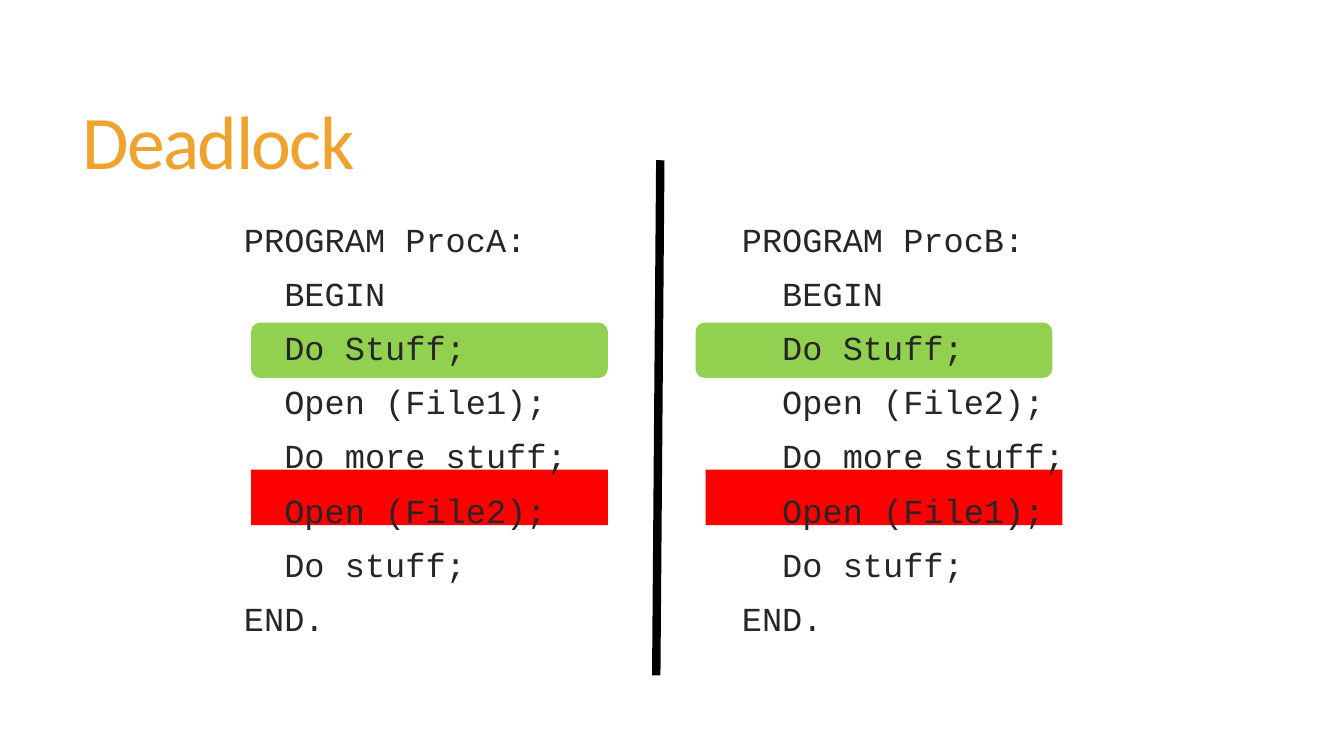
from pptx import Presentation
from pptx.dml.color import RGBColor as Color
from pptx.enum.shapes import MSO_CONNECTOR as Connector, MSO_SHAPE as Shape
from pptx.enum.text import MSO_ANCHOR as Anchor, MSO_AUTO_SIZE as AutoSize, PP_ALIGN as Align
from pptx.oxml.ns import qn
from pptx.util import Inches, Pt
from lxml.etree import SubElement

WIDTH, HEIGHT = Inches(13.33), Inches(7.5)

THEME = {
    "title": {"name": "Calibri", "size": Pt(54), "color": Color.from_string("F0A22E")},
    "code": {"name": "Courier New", "size": Pt(24), "color": Color.from_string("262626")},
    "running": Color.from_string("92D050"),
    "blocked": Color.from_string("FF0000"),
    "divider": Color.from_string("000000"),
}
TITLE_FORMAT = {"alignment": Align.LEFT, "line_spacing": 0.85}
CODE_FORMAT = {"alignment": Align.LEFT, "line_spacing": 0.85, "space_after": Pt(1.2)}
CODE_GAP = Pt(13)
CODE_INDENT = Inches(0.12)

CODE_TOP, CODE_WIDTH, CODE_HEIGHT = 29.07, 29.18, 54.93
BAR_WIDTH, BAR_HEIGHT = 26.55, 7.33
RUNNING_TOP, BLOCKED_TOP = 42.67, 62.13

PROCESSES = [
    {"name": "ProcA", "files": ("File1", "File2"), "code": 16.5, "running": 18.68, "blocked": 18.68},
    {"name": "ProcB", "files": ("File2", "File1"), "code": 53.55, "running": 51.75, "blocked": 52.5},
]


def across(percent):
    return round(WIDTH * percent / 100)


def down(percent):
    return round(HEIGHT * percent / 100)


def area(left, top, width, height):
    return across(left), down(top), across(width), down(height)


def apply(target, values):
    for name, value in values.items():
        setattr(target, name, value)


def style_font(font, style):
    apply(font, {"name": style["name"], "size": style["size"]})
    font.color.rgb = style["color"]


def place(box, left, top, width, height):
    apply(box, dict(zip(("left", "top", "width", "height"), area(left, top, width, height))))
    apply(box.text_frame, {"word_wrap": True, "auto_size": AutoSize.NONE})


def add_title(page, text):
    box = page.shapes.title
    place(box, 5.4, 7.33, 88.38, 24.13)
    box.text_frame.vertical_anchor = Anchor.MIDDLE
    para = box.text_frame.paragraphs[0]
    apply(para, TITLE_FORMAT)
    span = para.add_run()
    span.text = text
    style_font(span.font, THEME["title"])
    span.font._element.set("spc", "-120")


def program_lines(name, first, second):
    steps = ["BEGIN", "Do Stuff;", f"Open ({first});", "Do more stuff;",
             f"Open ({second});", "Do stuff;"]
    return [f"PROGRAM {name}:", *("  " + step for step in steps), "END."]


def add_program(box, left, lines):
    place(box, left, CODE_TOP, CODE_WIDTH, CODE_HEIGHT)
    frame = box.text_frame
    frame.vertical_anchor = Anchor.TOP
    for index, line in enumerate(lines):
        para = frame.add_paragraph() if index else frame.paragraphs[0]
        apply(para, CODE_FORMAT)
        para.space_before = CODE_GAP if index else Pt(0)
        properties = para._p.get_or_add_pPr()
        properties.set("marL", str(CODE_INDENT))
        properties.set("indent", "0")
        SubElement(properties, qn("a:buNone"))
        span = para.add_run()
        span.text = line
        style_font(span.font, THEME["code"])


def add_bar(page, kind, left, top, color):
    bar = page.shapes.add_shape(kind, *area(left, top, BAR_WIDTH, BAR_HEIGHT))
    bar.shadow.inherit = False
    bar.fill.solid()
    bar.fill.fore_color.rgb = color
    bar.line.fill.background()
    page.shapes._spTree.insert(2, bar._element)


def add_divider(page):
    divider = page.shapes.add_connector(
        Connector.STRAIGHT, across(49.13), down(21.2), across(48.83), down(89.33))
    divider.line.color.rgb = THEME["divider"]
    divider.line.width = Pt(6)
    SubElement(divider._element.spPr, qn("a:effectLst"))


def main():
    deck = Presentation()
    apply(deck, {"slide_width": WIDTH, "slide_height": HEIGHT})
    page = deck.slides.add_slide(deck.slide_layouts.get_by_name("Two Content"))
    add_title(page, "Deadlock")
    for slot, process in enumerate(PROCESSES, start=1):
        lines = program_lines(process["name"], *process["files"])
        add_program(page.placeholders[slot], process["code"], lines)
        add_bar(page, Shape.ROUNDED_RECTANGLE, process["running"], RUNNING_TOP, THEME["running"])
        add_bar(page, Shape.RECTANGLE, process["blocked"], BLOCKED_TOP, THEME["blocked"])
    add_divider(page)
    deck.save("out.pptx")


if __name__ == "__main__":
    main()
